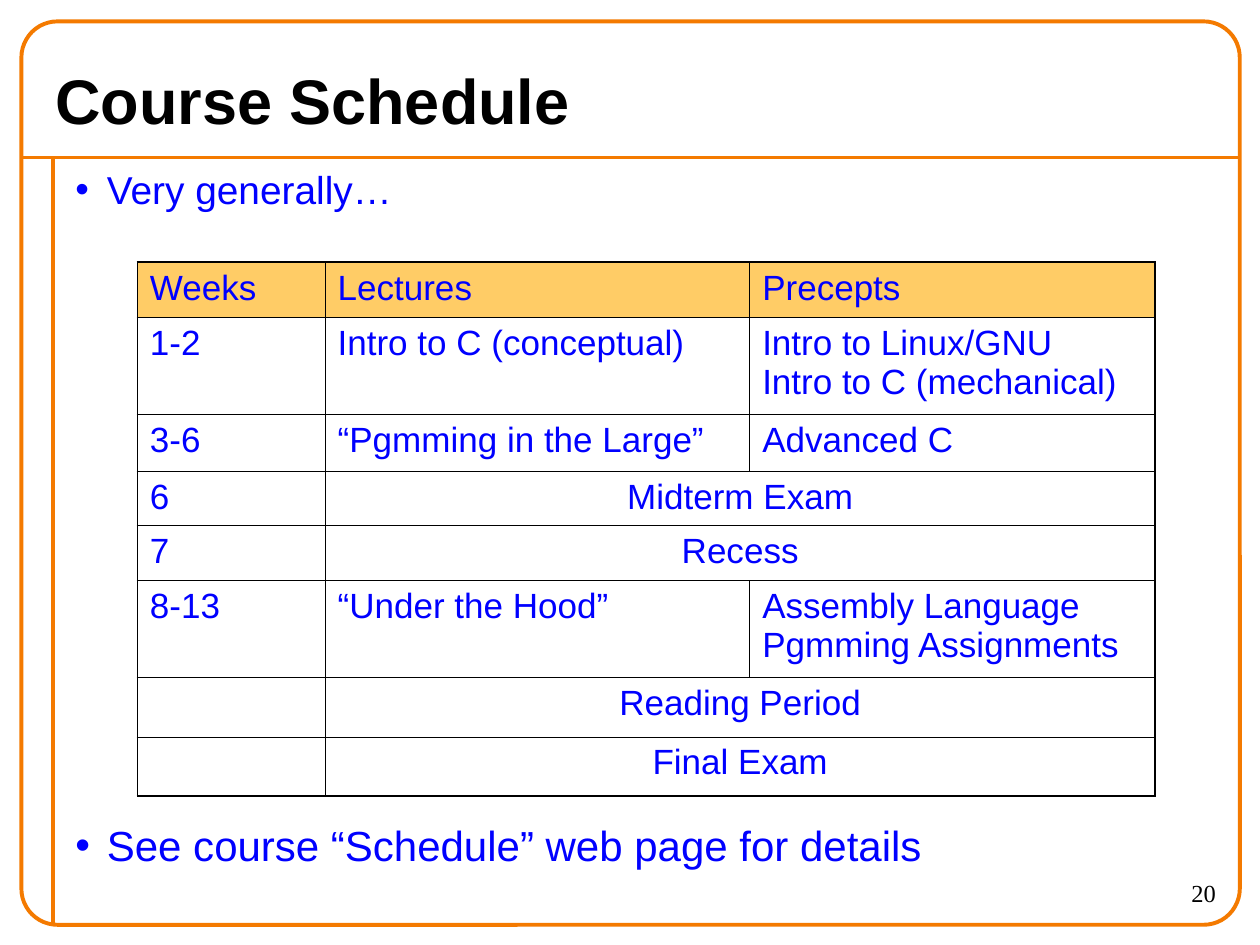
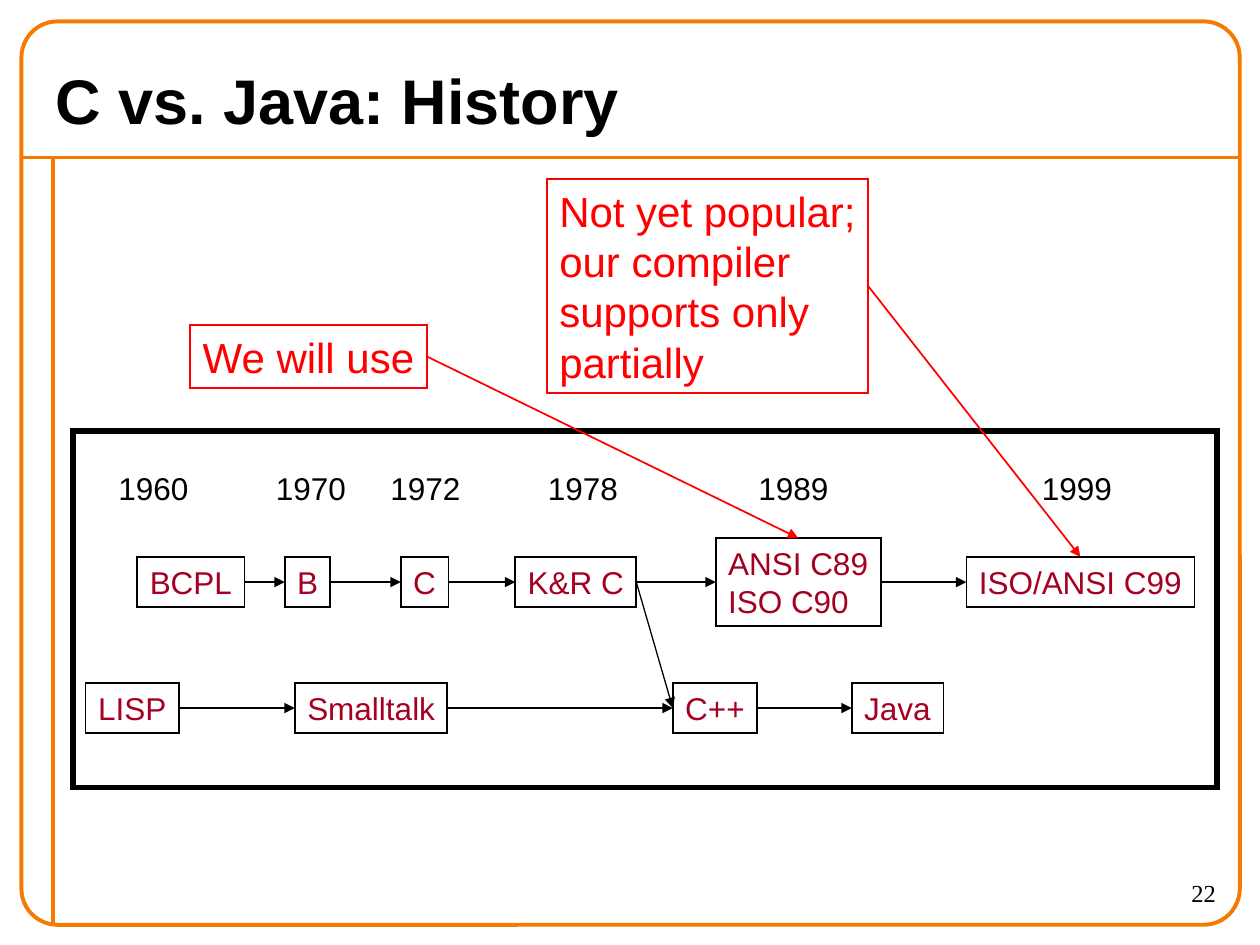
import dataclasses
import typing

import lxml.etree
import pptx
import pptx.dml.color
import pptx.enum.shapes
import pptx.enum.text
import pptx.oxml.ns
import pptx.util

Inches = pptx.util.Inches
Pt = pptx.util.Pt
Align = pptx.enum.text.PP_ALIGN
Anchor = pptx.enum.text.MSO_ANCHOR
AutoSize = pptx.enum.text.MSO_AUTO_SIZE
Shape = pptx.enum.shapes.MSO_SHAPE
STRAIGHT = pptx.enum.shapes.MSO_CONNECTOR.STRAIGHT

ORANGE, BLACK, BLUE, RED = "F47A00", "000000", "0000FF", "FF0000"
HEADER_FILL, MAROON = "FFCC66", "A50021"
TOP, LEFT, BOTTOM, RIGHT = range(4)

# Snug boxes keep their text on one line with a narrower right margin
SNUG = {
    "word_wrap": False,
    "auto_size": AutoSize.SHAPE_TO_FIT_TEXT,
    "vertical_anchor": Anchor.TOP,
    "margin_right": Inches(0.05),
}
ROOMY = {"word_wrap": True, "auto_size": AutoSize.NONE}


@dataclasses.dataclass(frozen=True)
class TextStyle:
    size: float
    color: str
    font: str = "Arial"
    bold: bool = False
    align: Align = Align.LEFT


TITLE = TextStyle(36, BLACK, bold=True)
PAGE_NUMBER = TextStyle(14, BLACK, "Times New Roman", align=Align.RIGHT)
CELL = TextStyle(20, BLUE)
CENTERED_CELL = dataclasses.replace(CELL, align=Align.CENTER)
YEAR = TextStyle(18, BLACK)
LANGUAGE = TextStyle(18, MAROON)
REMARK = TextStyle(24, RED)


@dataclasses.dataclass(frozen=True)
class Box:
    text: str
    left: float
    top: float
    width: float
    height: float


@dataclasses.dataclass(frozen=True)
class Arrow:
    source: str
    target: str
    target_side: int = LEFT
    color: str = BLACK
    weight: float = 0.75


# Shared helpers
def rgb(color: str) -> pptx.dml.color.RGBColor:
    return pptx.dml.color.RGBColor.from_string(color)


def set_all(target: typing.Any, values: dict[str, typing.Any]) -> None:
    for name, value in values.items():
        setattr(target, name, value)


def add_xml(parent: typing.Any, tag: str, **attributes: str) -> typing.Any:
    return lxml.etree.SubElement(parent, pptx.oxml.ns.qn(tag), attributes)


def write(frame: typing.Any, text: str, style: TextStyle) -> None:
    frame.text = text
    for paragraph in frame.paragraphs:
        paragraph.alignment = style.align
        for run in paragraph.runs:
            set_all(run.font, {"size": Pt(style.size), "name": style.font, "bold": style.bold})
            run.font.color.rgb = rgb(style.color)


def set_line(line: typing.Any, color: str, weight: float) -> None:
    line.color.rgb = rgb(color)
    line.width = Pt(weight)


def add_text(slide: typing.Any, box: Box, style: TextStyle,
             fit: dict[str, typing.Any] = ROOMY) -> typing.Any:
    place = map(Inches, (box.left, box.top, box.width, box.height))
    frame = slide.shapes.add_textbox(*place).text_frame
    set_all(frame, fit)
    write(frame, box.text, style)
    return frame


def add_outline(slide: typing.Any, box: Box, color: str, weight: float,
                preset: Shape = Shape.RECTANGLE, style: TextStyle | None = None) -> typing.Any:
    place = map(Inches, (box.left, box.top, box.width, box.height))
    outline = slide.shapes.add_shape(preset, *place)
    outline.shadow.inherit = False
    outline.fill.background()
    set_line(outline.line, color, weight)
    add_xml(outline.line._get_or_add_ln(), "a:miter", lim="800000")
    if style:
        set_all(outline.text_frame, SNUG)
        write(outline.text_frame, box.text, style)
    return outline


def add_rule(slide: typing.Any, x1: float, y1: float, x2: float, y2: float,
             color: str, weight: float) -> typing.Any:
    rule = slide.shapes.add_connector(STRAIGHT, *map(Inches, (x1, y1, x2, y2)))
    set_line(rule.line, color, weight)
    add_xml(rule._element.spPr, "a:effectLst")
    return rule


def add_bullet(slide: typing.Any, box: Box, size: float, spacing: float) -> None:
    frame = add_text(slide, box, TextStyle(size, BLUE))
    paragraph = frame.paragraphs[0]
    paragraph.line_spacing = spacing
    properties = paragraph._p.get_or_add_pPr()
    properties.set("marL", str(Inches(0.25)))
    properties.set("indent", str(Inches(-0.25)))
    add_xml(add_xml(properties, "a:buClr"), "a:srgbClr", val=BLUE)
    add_xml(properties, "a:buFont", typeface="Arial")
    add_xml(properties, "a:buChar", char="•")


def start_slide(deck: typing.Any, title: str, number: int) -> typing.Any:
    """Add a blank slide with the orange frame, title and page number."""
    slide = deck.slides.add_slide(deck.slide_layouts[6])
    add_rule(slide, 0.17, 1.25, 9.83, 1.25, ORANGE, 2.25)
    add_rule(slide, 0.42, 1.25, 0.42, 7.33, ORANGE, 2.25)
    frame = add_outline(slide, Box("", 0.17, 0.17, 9.67, 7.17), ORANGE, 2.25,
                        Shape.ROUNDED_RECTANGLE)
    frame.adjustments[0] = 0.04
    add_text(slide, Box(str(number), 8.75, 6.92, 1, 0.42), PAGE_NUMBER)
    heading = add_text(slide, Box(title, 0.34, 0.41, 9.33, 0.75), TITLE)
    heading.vertical_anchor = Anchor.MIDDLE
    return slide


# Course schedule: a row with two entries spans lectures and precepts
SCHEDULE = [
    ("Weeks", "Lectures", "Precepts"),
    ("1-2", "Intro to C (conceptual)", "Intro to Linux/GNU\vIntro to C (mechanical)"),
    ("3-6", "“Pgmming in the Large”", "Advanced C"),
    ("6", "Midterm Exam"),
    ("7", "Recess"),
    ("8-13", "“Under the Hood”", "Assembly Language\vPgmming Assignments"),
    ("", "Reading Period"),
    ("", "Final Exam"),
]
COLUMN_WIDTHS = [1.49, 3.37, 3.22]
ROW_HEIGHTS = [0.44, 0.77, 0.45, 0.43, 0.44, 0.77, 0.47, 0.47]


def add_borders(cell: typing.Any, outer: dict[str, bool]) -> None:
    properties = cell._tc.get_or_add_tcPr()
    for side, is_outer in outer.items():
        border = add_xml(properties, f"a:ln{side}", w=str(Pt(1.08 if is_outer else 0.45)))
        add_xml(add_xml(border, "a:solidFill"), "a:srgbClr", val=BLACK)


def add_schedule(slide: typing.Any) -> None:
    rows, columns = len(SCHEDULE), len(COLUMN_WIDTHS)
    size = map(Inches, (1.09, 2.08, sum(COLUMN_WIDTHS), sum(ROW_HEIGHTS)))
    table = slide.shapes.add_table(rows, columns, *size).table
    set_all(table, {"first_row": False, "horz_banding": False})
    for column, width in zip(table.columns, COLUMN_WIDTHS):
        column.width = Inches(width)
    for r, (entries, height) in enumerate(zip(SCHEDULE, ROW_HEIGHTS)):
        table.rows[r].height = Inches(height)
        spans = len(entries) < columns
        for c in range(columns):
            cell = table.cell(r, c)
            add_borders(cell, {
                "L": c == 0,
                "R": c == columns - 1 or (spans and c == 1),
                "T": r == 0,
                "B": r == rows - 1,
            })
            if r == 0:
                cell.fill.solid()
                cell.fill.fore_color.rgb = rgb(HEADER_FILL)
            else:
                cell.fill.background()
        if spans:
            table.cell(r, 1).merge(table.cell(r, 2))
        for c, entry in enumerate(entries):
            if entry:
                style = CENTERED_CELL if spans and c == 1 else CELL
                write(table.cell(r, c).text_frame, entry, style)


def build_schedule_slide(deck: typing.Any) -> None:
    slide = start_slide(deck, "Course Schedule", 20)
    add_bullet(slide, Box("Very generally…", 0.5, 1.34, 8.08, 0.42), 22.2, 0.8)
    add_schedule(slide)
    details = Box("See course “Schedule” web page for details", 0.5, 6.5, 8.08, 0.5)
    add_bullet(slide, details, 24, 0.9)


# Language history timeline
YEARS = {"1960": 0.84, "1970": 2.09, "1972": 3, "1978": 4.25, "1989": 5.92, "1999": 8.17}
C_ROW, OBJECT_ROW, ROW_HEIGHT = 4.42, 5.42, 0.4
C89, C99 = "ANSI C89\nISO C90", "ISO/ANSI C99"
LANGUAGES = [
    Box("BCPL", 1.09, C_ROW, 0.85, ROW_HEIGHT),
    Box("B", 2.26, C_ROW, 0.36, ROW_HEIGHT),
    Box("C", 3.18, C_ROW, 0.38, ROW_HEIGHT),
    Box("K&R C", 4.09, C_ROW, 0.96, ROW_HEIGHT),
    Box(C89, 5.68, 4.27, 1.31, 0.7),
    Box(C99, 7.67, C_ROW, 1.81, ROW_HEIGHT),
    Box("LISP", 0.68, OBJECT_ROW, 0.74, ROW_HEIGHT),
    Box("Smalltalk", 2.34, OBJECT_ROW, 1.21, ROW_HEIGHT),
    Box("C++", 5.34, OBJECT_ROW, 0.67, ROW_HEIGHT),
    Box("Java", 6.76, OBJECT_ROW, 0.73, ROW_HEIGHT),
]
NOT_POPULAR = "Not yet popular;\nour compiler\nsupports only\npartially"
WILL_USE = "We will use"
REMARKS = [
    Box(NOT_POPULAR, 4.34, 1.42, 2.55, 1.7),
    Box(WILL_USE, 1.51, 2.58, 1.88, 0.5),
]
ARROWS = [
    Arrow("BCPL", "B"),
    Arrow("B", "C"),
    Arrow("C", "K&R C"),
    Arrow("K&R C", C89),
    Arrow(C89, C99),
    Arrow("K&R C", "C++"),
    Arrow("LISP", "Smalltalk"),
    Arrow("Smalltalk", "C++"),
    Arrow("C++", "Java"),
    Arrow(NOT_POPULAR, C99, TOP, RED, 1),
    Arrow(WILL_USE, C89, TOP, RED, 1),
]


def add_arrow(slide: typing.Any, arrow: Arrow, boxes: dict[str, typing.Any]) -> None:
    connector = add_rule(slide, 0, 0, 1, 1, arrow.color, arrow.weight)
    connector.begin_connect(boxes[arrow.source], RIGHT)
    connector.end_connect(boxes[arrow.target], arrow.target_side)
    add_xml(connector.line._get_or_add_ln(), "a:tailEnd", type="triangle")


def build_history_slide(deck: typing.Any) -> None:
    slide = start_slide(deck, "C vs. Java: History", 22)
    add_outline(slide, Box("", 0.58, 3.42, 9.08, 2.83), BLACK, 3)
    for year, left in YEARS.items():
        add_text(slide, Box(year, left, 3.67, 0.75, 0.4), YEAR, SNUG)
    boxes = {box.text: add_outline(slide, box, BLACK, 1, style=LANGUAGE) for box in LANGUAGES}
    boxes |= {box.text: add_outline(slide, box, RED, 1, style=REMARK) for box in REMARKS}
    for arrow in ARROWS:
        add_arrow(slide, arrow, boxes)


def main() -> None:
    deck = pptx.Presentation()
    set_all(deck, {"slide_width": Inches(10), "slide_height": Inches(7.5)})
    build_schedule_slide(deck)
    build_history_slide(deck)
    deck.save("out.pptx")


if __name__ == "__main__":
    main()
